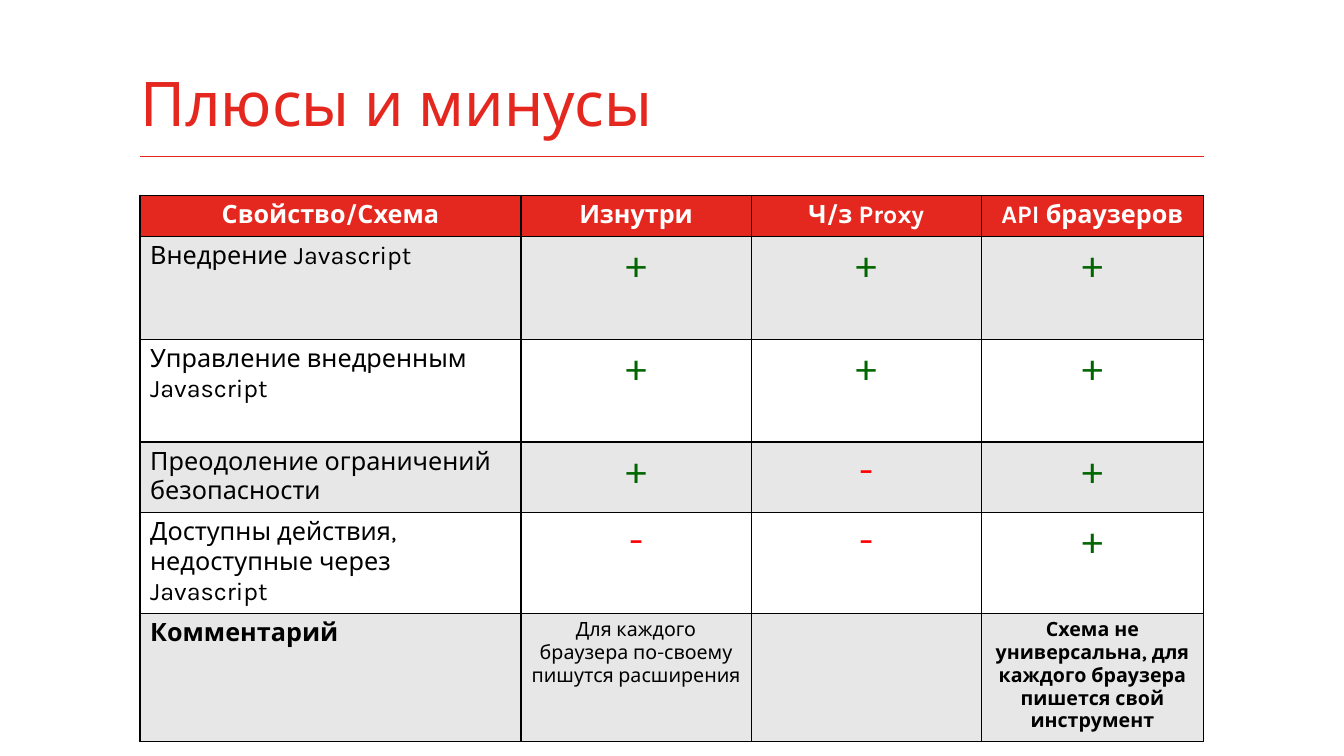
"""Build a slide with a table of pros and cons of three schemes."""
from lxml.etree import SubElement as Sub
from pptx import Presentation
from pptx.dml.color import RGBColor as Rgb
from pptx.enum.shapes import MSO_CONNECTOR as Link
from pptx.enum.text import MSO_ANCHOR as Anchor, PP_ALIGN as Align
from pptx.oxml.ns import qn
from pptx.util import Cm, Pt

TITLE = "Плюсы и минусы"
ROWS = [
    ("Свойство/Схема", "Изнутри", "Ч/з Proxy", "API браузеров"),
    ("Внедрение Javascript", "+", "+", "+"),
    ("Управление внедренным Javascript", "+", "+", "+"),
    ("Преодоление ограничений безопасности", "+", "-", "+"),
    ("Доступны действия, недоступные через Javascript", "-", "-", "+"),
    ("Комментарий", "Для каждого браузера по-своему пишутся расширения", "",
     "Схема не универсальна, для каждого браузера пишется свой инструмент"),
]
WIDTHS = (9.6, 5.8, 5.8, 5.6)
HEIGHTS = (1.04, 2.59, 2.59, 1.75, 2.51, 3.14)
LEFT, WIDTH = 3.53, sum(WIDTHS)
HUES = {"red": "E5281F", "rule": "E52319", "gray": "E7E7E7", "white": "FFFFFF",
        "black": "000000", "plus": "006600", "minus": "FF0000"}
FORMS = {
    "title": {"size": 44, "hue": "red", "bold": False},
    "head": {"size": 18, "hue": "white", "bold": True},
    "name": {"size": 18, "hue": "black", "bold": False},
    "total": {"size": 18, "hue": "black", "bold": True},
    "+": {"size": 28, "hue": "plus", "bold": False},
    "-": {"size": 28, "hue": "minus", "bold": False},
    "note": {"size": 14, "hue": "black", "bold": False},
    "strong": {"size": 14, "hue": "black", "bold": True},
}


def color(hue):
    return Rgb.from_string(HUES[hue])


def write(frame, text, form, align=Align.LEFT):
    para = frame.paragraphs[0]
    para.alignment = align
    look = FORMS[form]
    run = para.add_run()
    run.text = text
    font = run.font
    font.color.rgb = color(look["hue"])
    values = {"name": "Karla", "size": Pt(look["size"]), "bold": look["bold"]}
    for key, value in values.items():
        setattr(font, key, value)


def border(cell):
    props = cell._tc.get_or_add_tcPr()
    for side in ("lnL", "lnR", "lnT", "lnB"):
        line = Sub(props, qn("a:" + side), w=str(Pt(1)))
        fill = Sub(line, qn("a:solidFill"))
        Sub(fill, qn("a:srgbClr"), val=HUES["black"])


def choose(row, col, text):
    last = row == len(ROWS) - 1
    if row == 0:
        return "head"
    if col == 0:
        return "total" if last else "name"
    if last:
        return "strong" if col == len(WIDTHS) - 1 else "note"
    return text


def add_title(slide):
    box = slide.shapes.add_textbox(Cm(LEFT), Cm(0.91), Cm(WIDTH), Cm(3))
    frame = box.text_frame
    values = {"word_wrap": True, "vertical_anchor": Anchor.BOTTOM,
              "margin_left": 0, "margin_right": 0,
              "margin_top": Cm(0.13), "margin_bottom": Cm(0.4)}
    for key, value in values.items():
        setattr(frame, key, value)
    write(frame, TITLE, "title")
    rule = slide.shapes.add_connector(
        Link.STRAIGHT, Cm(LEFT), Cm(3.94), Cm(LEFT + WIDTH), Cm(3.94))
    rule.line.color.rgb = color("rule")
    rule.line.width = Pt(0.75)
    Sub(rule._element.spPr, qn("a:effectLst"))


def add_grid(slide):
    grid = slide.shapes.add_table(
        len(ROWS), len(WIDTHS), Cm(LEFT), Cm(4.92),
        Cm(WIDTH), Cm(sum(HEIGHTS))).table
    grid.first_row = grid.horz_banding = False
    for col, width in zip(grid.columns, WIDTHS):
        col.width = Cm(width)
    for row, height in zip(grid.rows, HEIGHTS):
        row.height = Cm(height)
    for r, texts in enumerate(ROWS):
        hue = "red" if r == 0 else "gray" if r % 2 else "white"
        for c, text in enumerate(texts):
            cell = grid.cell(r, c)
            border(cell)
            cell.fill.solid()
            cell.fill.fore_color.rgb = color(hue)
            if text:
                align = Align.CENTER if r == 0 or c else Align.LEFT
                write(cell.text_frame, text, choose(r, c, text), align)


def main():
    deck = Presentation()
    deck.slide_width, deck.slide_height = Cm(33.87), Cm(19.05)
    slide = deck.slides.add_slide(deck.slide_layouts[6])
    add_title(slide)
    add_grid(slide)
    deck.save("out.pptx")


if __name__ == "__main__":
    main()
